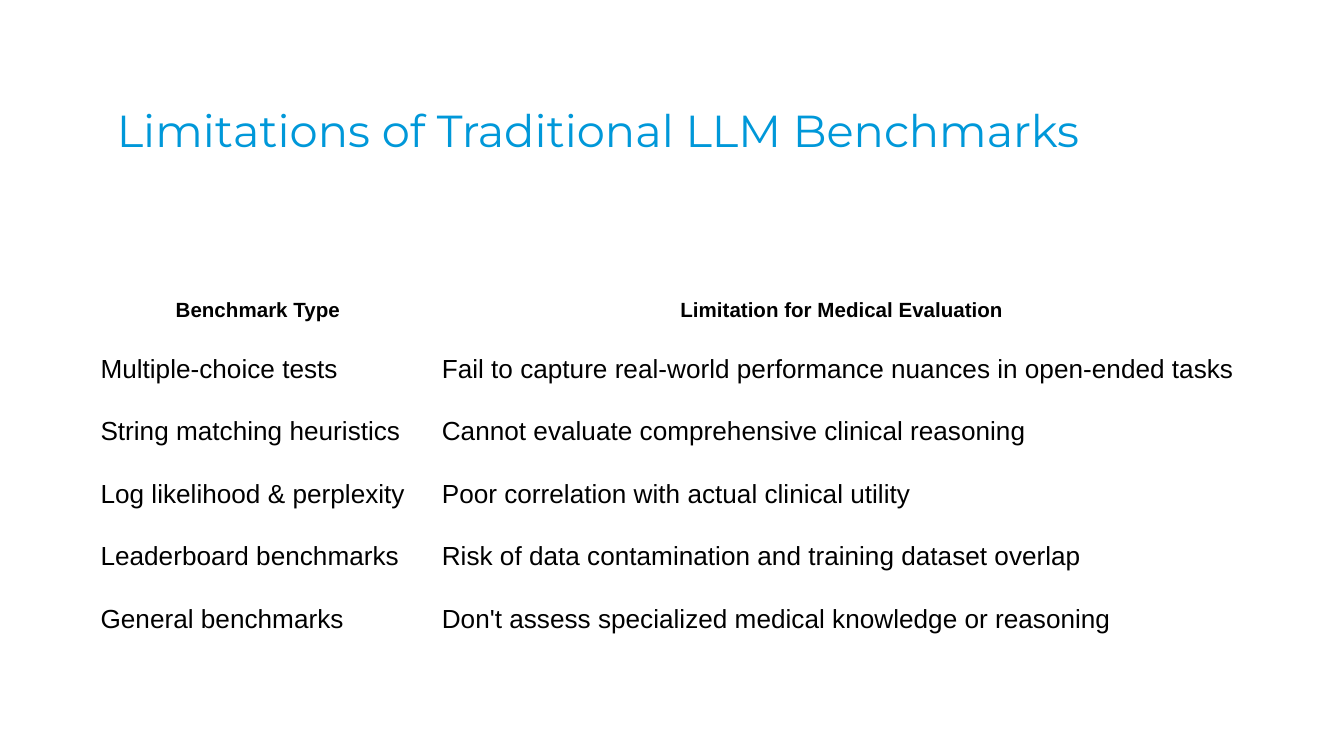
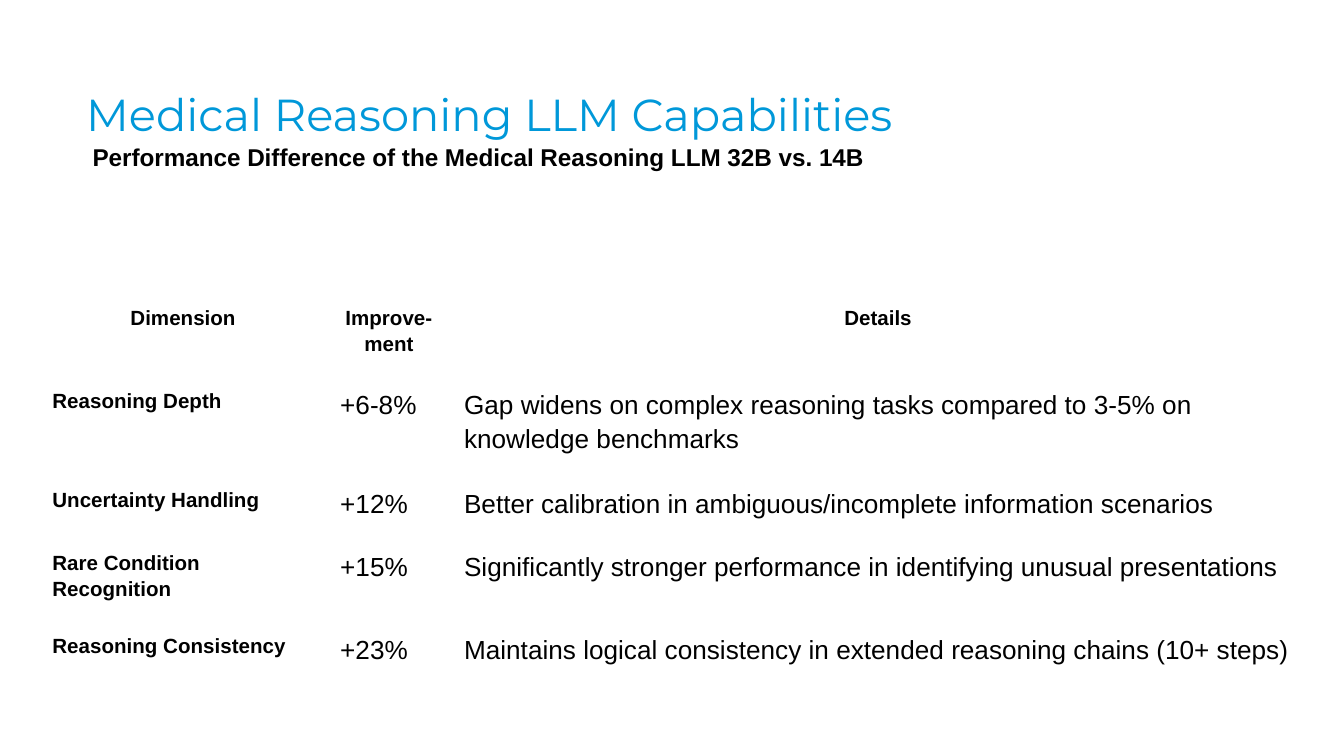
from pptx import Presentation
from pptx.dml.color import RGBColor
from pptx.enum.text import MSO_ANCHOR as Anchor, PP_ALIGN as Align
from pptx.util import Cm, Pt

BLUE = RGBColor(0x00, 0x98, 0xD9)
BLACK = RGBColor(0x00, 0x00, 0x00)
TITLE_FONT = "Montserrat"
BODY_FONT = "Arial"
LABEL_SIZE = 11
TEXT_SIZE = 14
CELL_MARGIN = 0.25

BENCHMARK_ROWS = [
    ("Benchmark Type", "Limitation for Medical Evaluation"),
    ("Multiple-choice tests",
     "Fail to capture real-world performance nuances in open-ended tasks"),
    ("String matching heuristics", "Cannot evaluate comprehensive clinical reasoning"),
    ("Log likelihood & perplexity", "Poor correlation with actual clinical utility"),
    ("Leaderboard benchmarks", "Risk of data contamination and training dataset overlap"),
    ("General benchmarks", "Don't assess specialized medical knowledge or reasoning"),
]
CAPABILITY_ROWS = [
    ("Dimension", "Improve-ment", "Details"),
    ("Reasoning Depth", "+6-8%",
     "Gap widens on complex reasoning tasks compared to 3-5% on knowledge benchmarks"),
    ("Uncertainty Handling", "+12%",
     "Better calibration in ambiguous/incomplete information scenarios"),
    ("Rare Condition Recognition", "+15%",
     "Significantly stronger performance in identifying unusual presentations"),
    ("Reasoning Consistency", "+23%",
     "Maintains logical consistency in extended reasoning chains (10+ steps)"),
]


def write_text(para, text, size, font=BODY_FONT, color=BLACK, bold=False, spacing=1.15):
    """Add one styled run to a paragraph."""
    para.line_spacing = spacing
    span = para.add_run()
    span.text = text
    span.font.name = font
    span.font.size = Pt(size)
    span.font.bold = bold
    span.font.color.rgb = color


def set_margins(holder, side, end):
    """Set the inner margins of a text frame or table cell."""
    holder.margin_left = holder.margin_right = Cm(side)
    holder.margin_top = holder.margin_bottom = Cm(end)


def add_text_box(page, left, top, width, height, side, end):
    """Add a wrapping text box and return its first paragraph."""
    box = page.shapes.add_textbox(Cm(left), Cm(top), Cm(width), Cm(height))
    frame = box.text_frame
    frame.word_wrap = True
    set_margins(frame, side, end)
    return frame.paragraphs[0]


def add_title(page, text, left, top, width):
    """Add the light blue slide title."""
    para = add_text_box(page, left, top, width, 1.5, 0.18, 0.1)
    write_text(para, text, 24, TITLE_FONT, BLUE, spacing=0.9)


def add_subtitle(page, text, left, top, width):
    """Add the bold line under a title."""
    para = add_text_box(page, left, top, width, 1.8, CELL_MARGIN, CELL_MARGIN)
    write_text(para, text, 13, bold=True)


def add_plain_table(page, rows, left, top, widths, heights, label_column=False):
    """Add an unfilled table with a bold header and optional bold first column."""
    frame = page.shapes.add_table(len(rows), len(widths), Cm(left), Cm(top),
                                  Cm(sum(widths)), Cm(sum(heights)))
    table = frame.table
    table.first_row = table.horz_banding = False
    for column, width in zip(table.columns, widths):
        column.width = Cm(width)
    for row, height in zip(table.rows, heights):
        row.height = Cm(height)
    for i, texts in enumerate(rows):
        for j, text in enumerate(texts):
            cell = table.cell(i, j)
            cell.fill.background()
            cell.vertical_anchor = Anchor.TOP
            set_margins(cell, CELL_MARGIN, CELL_MARGIN)
            para = cell.text_frame.paragraphs[0]
            para.alignment = Align.CENTER if i == 0 else Align.LEFT
            label = i == 0 or (label_column and j == 0)
            write_text(para, text, LABEL_SIZE if label else TEXT_SIZE, bold=label)


def add_page(deck):
    """Add a blank slide."""
    return deck.slides.add_slide(deck.slide_layouts[6])


def build_limitations(deck):
    """Build the slide on benchmark limitations."""
    page = add_page(deck)
    add_title(page, "Limitations of Traditional LLM Benchmarks", 2.03, 1.96, 21.34)
    add_plain_table(page, BENCHMARK_ROWS, 1.65, 5.33, [6.45, 15.62], [1] + [1.14] * 5)


def build_capabilities(deck):
    """Build the slide on reasoning capabilities."""
    page = add_page(deck)
    add_title(page, "Medical Reasoning LLM Capabilities", 1.45, 1.65, 22.8)
    add_subtitle(page, "Performance Difference of the Medical Reasoning LLM 32B vs. 14B",
                 1.5, 2.35, 15.82)
    add_plain_table(page, CAPABILITY_ROWS, 0.74, 5.49, [5.44, 2.34, 16.15],
                    [1.57, 1.87, 1.19, 1.57, 1.19], label_column=True)


def main():
    """Build and save the deck."""
    deck = Presentation()
    deck.slide_width = Cm(25.4)
    deck.slide_height = Cm(14.29)
    build_limitations(deck)
    build_capabilities(deck)
    deck.save("out.pptx")


if __name__ == "__main__":
    main()
